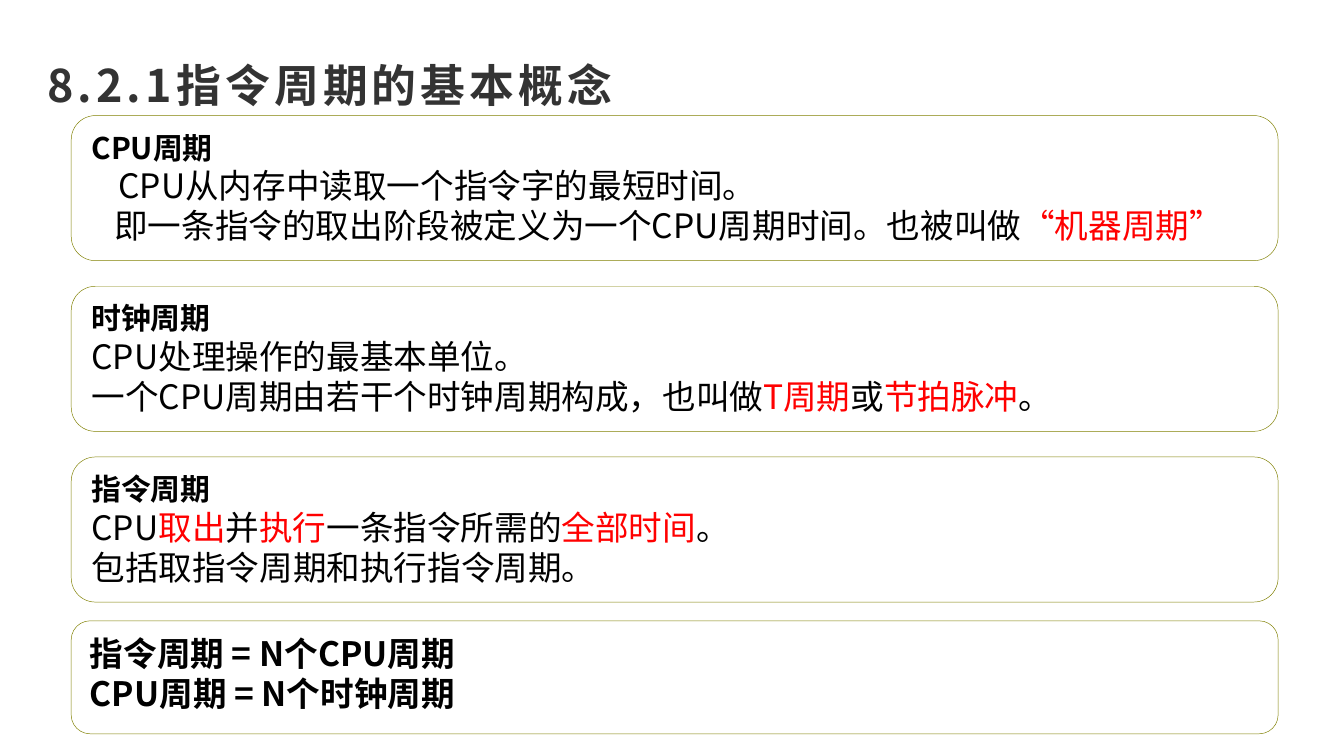
"""Build the slide on the basic concepts of the instruction cycle."""
from dataclasses import dataclass

from lxml.etree import SubElement
from pptx import Presentation
from pptx.dml.color import RGBColor
from pptx.enum.shapes import MSO_SHAPE as Preset
from pptx.enum.text import MSO_ANCHOR as Anchor, PP_ALIGN as Align
from pptx.oxml.ns import qn
from pptx.slide import Slide
from pptx.text.text import _Paragraph as Paragraph, _Run as Run
from pptx.util import Inches, Pt

FONT = "Noto Sans CJK SC"
BLACK = RGBColor(0x00, 0x00, 0x00)
RED = RGBColor(0xFF, 0x00, 0x00)
DARK_GRAY = RGBColor(0x33, 0x33, 0x33)
OLIVE = RGBColor(0x80, 0x80, 0x00)

SLIDE_WIDTH = Inches(10)
SLIDE_HEIGHT = SLIDE_WIDTH * 9 // 16
CARD_LEFT, CARD_WIDTH = 0.53, 8.98
CARD_HEIGHT, FORMULA_HEIGHT = 1.08, 0.84
FIRST_TOP, CARD_PITCH, FORMULA_TOP = 0.86, 1.27, 4.62


@dataclass(frozen=True)
class Span:
    text: str
    color: RGBColor = BLACK


@dataclass(frozen=True)
class Line:
    spans: tuple[Span, ...]
    size: int = 18
    bold: bool = False
    indent: float = 0


def key(text: str) -> Span:
    return Span(text, RED)


def heading(text: str, size: int = 16) -> Line:
    return Line((Span(text),), size, bold=True)


def body(*spans: Span | str, indent: float = 0) -> Line:
    return Line(tuple(Span(s) if isinstance(s, str) else s for s in spans), indent=indent)


CYCLES = (
    (
        heading("CPU周期"),
        body("CPU从内存中读取一个指令字的最短时间。", indent=0.2),
        body("即一条指令的取出阶段被定义为一个CPU周期时间。也被叫做",
             key("“机器周期”"), indent=0.17),
    ),
    (
        heading("时钟周期"),
        body("CPU处理操作的最基本单位。"),
        body("一个CPU周期由若干个时钟周期构成，也叫做", key("T周期"), "或",
             key("节拍脉冲"), "。"),
    ),
    (
        heading("指令周期"),
        body("CPU", key("取出"), "并", key("执行"), "一条指令所需的", key("全部时间"), "。"),
        body("包括取指令周期和执行指令周期。"),
    ),
)
FORMULAS = (heading("指令周期 = N个CPU周期", 18), heading("CPU周期 = N个时钟周期", 18))


def style_run(run: Run, size: int, bold: bool, color: RGBColor) -> None:
    run.font.size = Pt(size)
    run.font.bold = bold
    run.font.color.rgb = color
    run.font.name = FONT
    SubElement(run.font._element, qn("a:ea")).set("typeface", FONT)


def write_line(paragraph: Paragraph, line: Line) -> None:
    paragraph.alignment = Align.LEFT
    if line.indent:
        paragraph._p.get_or_add_pPr().set("marL", str(Inches(line.indent)))
    for span in line.spans:
        run = paragraph.add_run()
        run.text = span.text
        style_run(run, line.size, line.bold, span.color)


def add_title(slide: Slide, text: str) -> None:
    title = slide.shapes.add_textbox(Inches(0.16), Inches(0.19), Inches(4.59), Inches(0.62))
    frame = title.text_frame
    frame.word_wrap = True
    frame.margin_left = frame.margin_right = Inches(0.07)
    frame.margin_top = frame.margin_bottom = Inches(0.04)
    paragraph = frame.paragraphs[0]
    paragraph.text = text
    paragraph.alignment = Align.CENTER
    paragraph.line_spacing = 1.5
    run = paragraph.runs[0]
    style_run(run, 24, True, DARK_GRAY)
    run.font._element.set("spc", "220")


def add_card(slide: Slide, top: float, height: float, lines: tuple[Line, ...]) -> None:
    card = slide.shapes.add_shape(Preset.ROUNDED_RECTANGLE, Inches(CARD_LEFT), Inches(top),
                                  Inches(CARD_WIDTH), Inches(height))
    card.shadow.inherit = False
    card.fill.background()
    card.line.color.rgb = OLIVE
    card.line.width = Pt(0.25)
    frame = card.text_frame
    frame.word_wrap = True
    frame.vertical_anchor = Anchor.TOP
    for index, line in enumerate(lines):
        write_line(frame.add_paragraph() if index else frame.paragraphs[0], line)


def main() -> None:
    deck = Presentation()
    deck.slide_width, deck.slide_height = SLIDE_WIDTH, SLIDE_HEIGHT
    slide = deck.slides.add_slide(deck.slide_layouts[6])
    add_title(slide, "8.2.1指令周期的基本概念")
    for index, lines in enumerate(CYCLES):
        add_card(slide, FIRST_TOP + index * CARD_PITCH, CARD_HEIGHT, lines)
    add_card(slide, FORMULA_TOP, FORMULA_HEIGHT, FORMULAS)
    deck.save("out.pptx")


if __name__ == "__main__":
    main()
